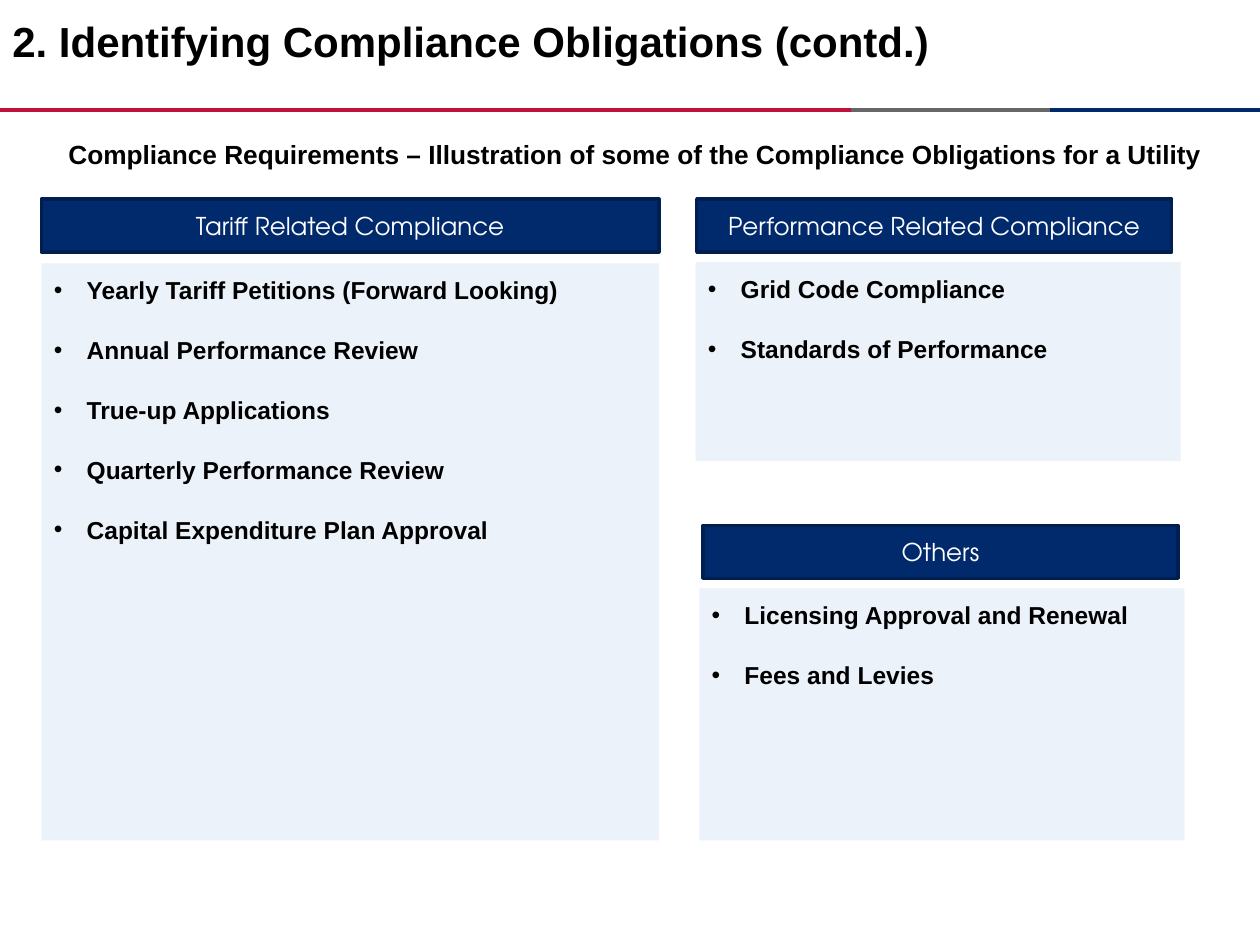
from lxml import etree
from pptx import Presentation
from pptx.dml.color import RGBColor
from pptx.enum.shapes import MSO_CONNECTOR, MSO_SHAPE
from pptx.enum.text import MSO_ANCHOR, PP_ALIGN
from pptx.oxml.ns import qn
from pptx.util import Inches, Pt

RECTANGLE, STRAIGHT = MSO_SHAPE.RECTANGLE, MSO_CONNECTOR.STRAIGHT
TOP, MIDDLE = MSO_ANCHOR.TOP, MSO_ANCHOR.MIDDLE
LEFT, CENTER, JUSTIFY = PP_ALIGN.LEFT, PP_ALIGN.CENTER, PP_ALIGN.JUSTIFY

NAVY = RGBColor(0x00, 0x2A, 0x6C)
DARK_NAVY = RGBColor(0x00, 0x1F, 0x50)
CRIMSON = RGBColor(0xC2, 0x11, 0x3A)
GRAY = RGBColor(0x66, 0x66, 0x66)
PALE_BLUE = RGBColor(0xEB, 0xF2, 0xFA)
BLACK = RGBColor(0x00, 0x00, 0x00)
WHITE = RGBColor(0xFF, 0xFF, 0xFF)


class SlideBuilder:
    body_font = "Arial"
    header_font = "TeX Gyre Adventor"
    item_size = 14
    bullet_indent = Inches(0.26)

    def __init__(self, slide):
        self.slide = slide

    def style(self, paragraph, size, color=BLACK, font=body_font, bold=True):
        for run in paragraph.runs:
            run.font.name = font
            run.font.size = Pt(size)
            run.font.bold = bold
            run.font.color.rgb = color

    def space(self, paragraph, first):
        paragraph.line_spacing = 1.2
        paragraph.space_before = Pt(0 if first else 8)
        paragraph.space_after = Pt(6)

    def bullet(self, paragraph):
        properties = paragraph._p.get_or_add_pPr()
        properties.set("marL", str(self.bullet_indent))
        properties.set("indent", str(-self.bullet_indent))
        etree.SubElement(properties, qn("a:buFont")).set("typeface", self.body_font)
        etree.SubElement(properties, qn("a:buChar")).set("char", "•")

    def rule(self, start, end, y, color):
        line = self.slide.shapes.add_connector(
            STRAIGHT, Inches(start), Inches(y), Inches(end), Inches(y))
        line.line.color.rgb = color
        line.line.width = Pt(2.25)
        etree.SubElement(line._element.spPr, qn("a:effectLst"))

    def text(self, box, words, size, align=LEFT, anchor=TOP, spaced=False):
        frame = self.slide.shapes.add_textbox(*map(Inches, box)).text_frame
        frame.word_wrap = True
        frame.vertical_anchor = anchor
        frame.text = words
        paragraph = frame.paragraphs[0]
        paragraph.alignment = align
        if spaced:
            self.space(paragraph, first=True)
        self.style(paragraph, size)

    def rectangle(self, box, fill):
        shape = self.slide.shapes.add_shape(RECTANGLE, *map(Inches, box))
        shape.shadow.inherit = False
        shape.fill.solid()
        shape.fill.fore_color.rgb = fill
        shape.text_frame.word_wrap = True
        return shape

    def header(self, box, words):
        shape = self.rectangle(box, NAVY)
        shape.line.color.rgb = DARK_NAVY
        shape.line.width = Pt(2)
        frame = shape.text_frame
        frame.vertical_anchor = MIDDLE
        frame.text = words
        frame.paragraphs[0].alignment = CENTER
        self.style(frame.paragraphs[0], self.item_size, WHITE, self.header_font, False)

    def panel(self, box, items, align):
        shape = self.rectangle(box, PALE_BLUE)
        shape.line.fill.background()
        frame = shape.text_frame
        frame.vertical_anchor = TOP
        frame.text = "\n".join(items)
        for index, paragraph in enumerate(frame.paragraphs):
            paragraph.alignment = align
            self.space(paragraph, first=index == 0)
            self.bullet(paragraph)
            self.style(paragraph, self.item_size)


def main():
    deck = Presentation()
    deck.slide_width, deck.slide_height = Inches(10), Inches(7.5)
    builder = SlideBuilder(deck.slides.add_slide(deck.slide_layouts[6]))

    # Three-colour rule under the title
    for start, end, color in [(0, 6.75, CRIMSON), (8.33, 10, NAVY), (6.75, 8.33, GRAY)]:
        builder.rule(start, end, 0.87, color)

    # Title and subtitle
    builder.text((0, 0.03, 9.5, 0.58), "2. Identifying Compliance Obligations (contd.)",
                 24, anchor=MIDDLE)
    builder.text((0.08, 1, 9.92, 1.25),
                 "Compliance Requirements – Illustration of some of the "
                 "Compliance Obligations for a Utility",
                 15, align=CENTER, spaced=True)

    # Obligation groups: header bar above a bulleted panel
    groups = [
        ("Tariff Related Compliance", (0.33, 1.58, 4.9, 0.42),
         (0.33, 2.09, 4.9, 4.58), LEFT,
         ["Yearly Tariff Petitions (Forward Looking)", "Annual Performance Review",
          "True-up Applications", "Quarterly Performance Review",
          "Capital Expenditure Plan Approval"]),
        ("Performance Related Compliance", (5.53, 1.58, 3.77, 0.42),
         (5.52, 2.08, 3.85, 1.58), JUSTIFY,
         ["Grid Code Compliance", "Standards of Performance"]),
        ("Others", (5.58, 4.17, 3.77, 0.42),
         (5.55, 4.67, 3.85, 2), LEFT,
         ["Licensing Approval and Renewal", "Fees and Levies"]),
    ]
    for heading, header_box, panel_box, align, obligations in groups:
        builder.panel(panel_box, obligations, align)
        builder.header(header_box, heading)

    deck.save("out.pptx")


if __name__ == "__main__":
    main()
